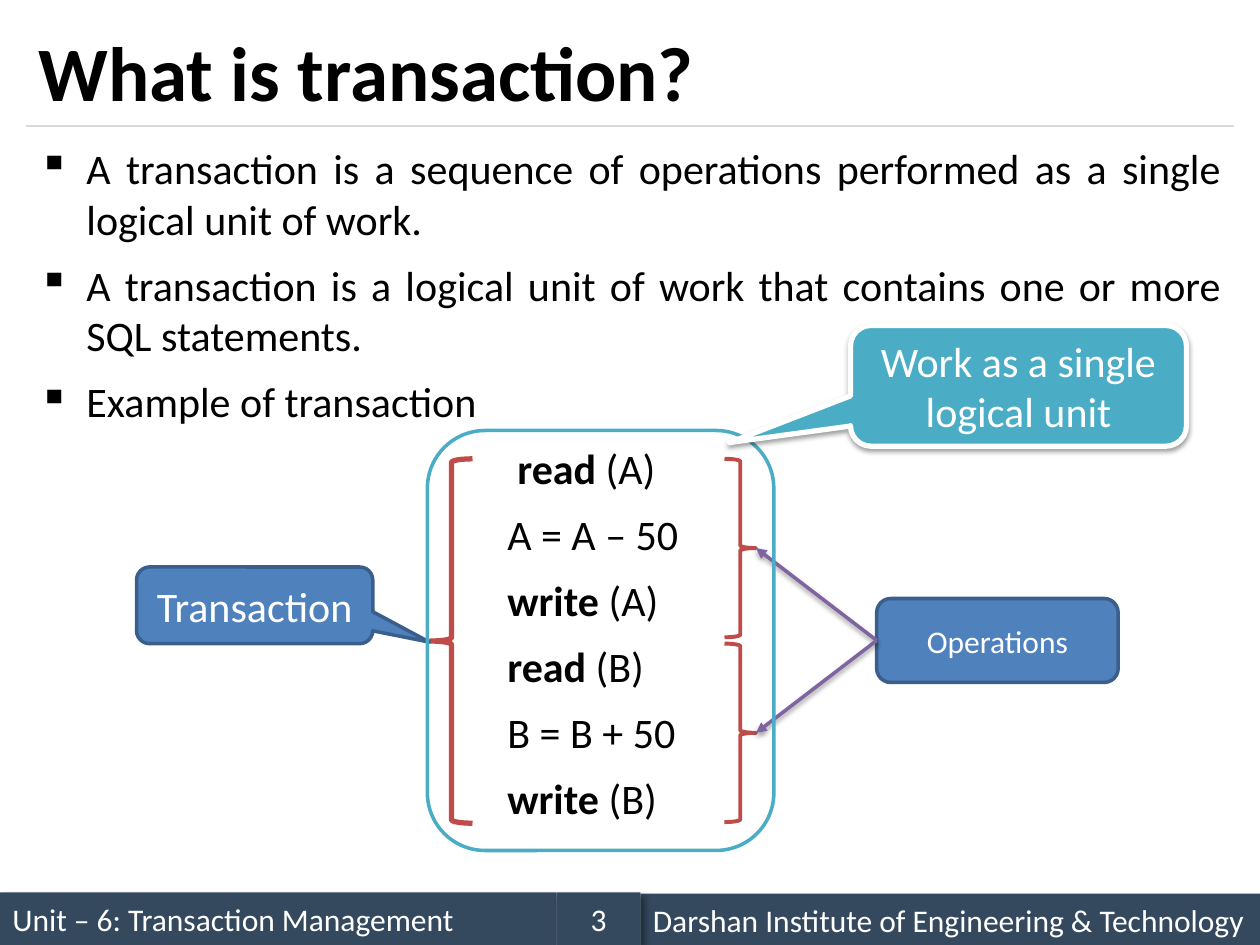
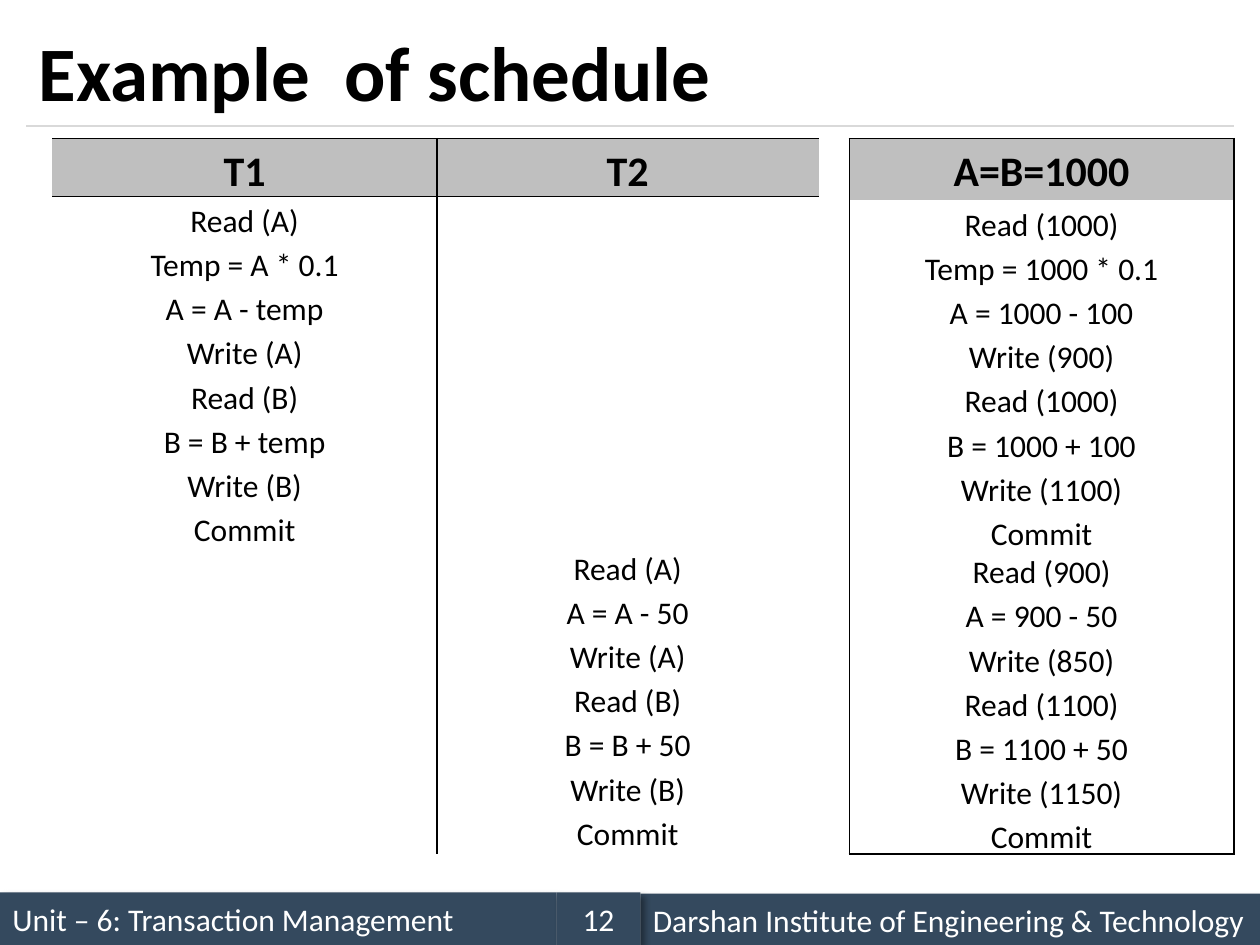
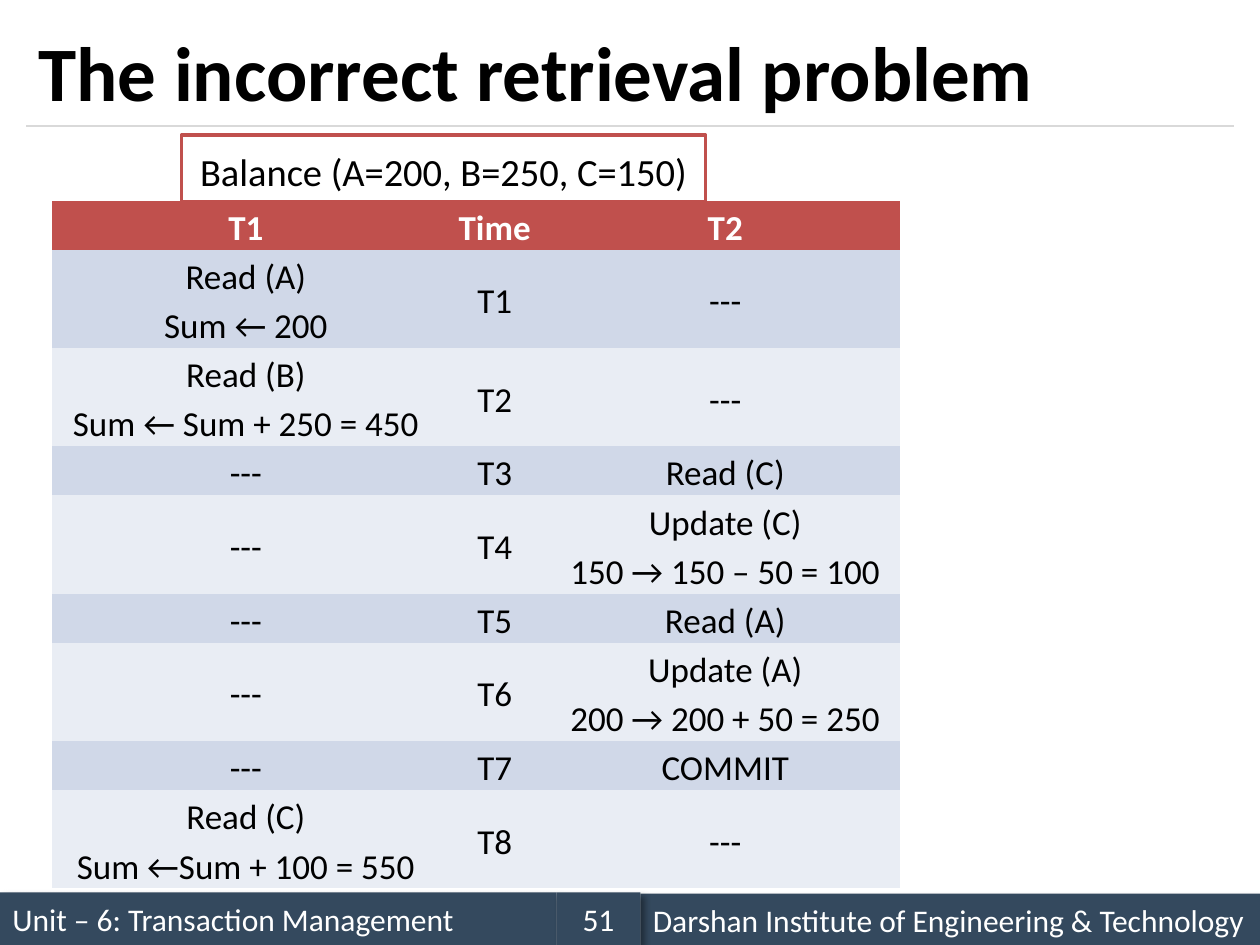
from lxml import etree
from pptx import Presentation
from pptx.dml.color import RGBColor
from pptx.enum.shapes import MSO_CONNECTOR as Connector, MSO_SHAPE as Shape
from pptx.enum.text import MSO_ANCHOR as Anchor, PP_ALIGN as Align
from pptx.oxml.ns import qn
from pptx.util import Inches, Pt

BLACK = RGBColor(0x00, 0x00, 0x00)
WHITE = RGBColor(0xFF, 0xFF, 0xFF)
NAVY = RGBColor(0x34, 0x49, 0x5E)
RULE_GRAY = RGBColor(0xD9, 0xD9, 0xD9)
HEADER_GRAY = RGBColor(0xBF, 0xBF, 0xBF)
BLUE = RGBColor(0x4F, 0x81, 0xBD)
BLUE_EDGE = RGBColor(0x3A, 0x5F, 0x8C)
TEAL = RGBColor(0x4B, 0xAC, 0xC6)
PURPLE = RGBColor(0x80, 0x64, 0xA2)
BRACE_RED = RGBColor(0xBF, 0x4C, 0x48)
RED = RGBColor(0xC0, 0x50, 0x4D)
BAND_DARK = RGBColor(0xD0, 0xD8, 0xE8)
BAND_LIGHT = RGBColor(0xE9, 0xED, 0xF4)

FONT = "Calibri"
WIDTH, HEIGHT = Inches(10), Inches(7.5)
COLUMNS, ROWS = 24, 18
UNIT = WIDTH // COLUMNS
FOOTER_SHADOW = (4, 3, 45, 40)
SOFT_SHADOW = (3.1, 1.6, 90, 38)
UNIT_TITLE = "Unit – 6: Transaction Management"
INSTITUTE = "Darshan Institute of Engineering & Technology"

DEFINITIONS = [
    "A transaction is a sequence of operations performed as a single logical unit of work.",
    "A transaction is a logical unit of work that contains one or more SQL statements.",
    "Example of transaction",
]
STEPS = [("read ", "(A)"), ("", "A = A – 50"), ("write ", "(A)"),
         ("read ", "(B)"), ("", "B = B + 50"), ("write ", "(B)")]
SCHEDULE = [
    ["T1", "T2"],
    ["Read (A)\nTemp = A * 0.1\nA = A - temp\nWrite (A)\n"
     "Read (B)\nB = B + temp\nWrite (B)\nCommit", ""],
    ["", "Read (A)\nA = A - 50\nWrite (A)\nRead (B)\nB = B + 50\nWrite (B)\nCommit"],
]
VALUES = [
    ["A=B=1000"],
    ["Read (1000)\nTemp = 1000 * 0.1\nA = 1000 - 100\nWrite (900)\n"
     "Read (1000)\nB = 1000 + 100\nWrite (1100)\nCommit"],
    ["Read (900)\nA = 900 - 50\nWrite (850)\nRead (1100)\nB = 1100 + 50\nWrite (1150)\nCommit"],
]
RETRIEVAL = [
    ["T1", "Time", "T2"],
    ["Read (A)\nSum ← 200", "T1", "---"],
    ["Read (B)\nSum ← Sum + 250 = 450", "T2", "---"],
    ["---", "T3", "Read (C)"],
    ["---", "T4", "Update (C)\n150 → 150 – 50 = 100"],
    ["---", "T5", "Read (A)"],
    ["---", "T6", "Update (A)\n200 → 200 + 50 = 250"],
    ["---", "T7", "COMMIT"],
    ["Read (C)\nSum ←Sum + 100 = 550", "T8", "---"],
]


def grid(*cells):
    """Turn grid columns and rows into lengths."""
    return [round(UNIT * cell) for cell in cells]


def add_xml(parent, tag, **attributes):
    """Append a drawing element with its attributes."""
    return etree.SubElement(parent, qn(tag), {key: str(value) for key, value in attributes.items()})


def format_run(run, size, color, bold=False):
    """Set the typeface of one run."""
    font = run.font
    font.name, font.size, font.bold = FONT, Pt(size), bold
    font.color.rgb = color


def write(text_frame, text, size, color, bold=False, align=Align.CENTER, spacing=None):
    """Fill a text frame with evenly formatted paragraphs."""
    text_frame.text = text
    text_frame.word_wrap = True
    for paragraph in text_frame.paragraphs:
        paragraph.alignment = align
        paragraph.line_spacing = spacing
        for run in paragraph.runs:
            format_run(run, size, color, bold)


def add_shadow(element, blur, distance, angle, opacity):
    """Put an outer shadow on a shape or connector element."""
    effects = element.spPr.find(qn("a:effectLst"))
    shadow = add_xml(effects, "a:outerShdw", blurRad=Pt(blur), dist=Pt(distance),
                     dir=angle * 60000, algn="ctr", rotWithShape=0)
    color = add_xml(shadow, "a:srgbClr", val=BLACK)
    add_xml(color, "a:alpha", val=opacity * 1000)


def add_figure(slide, kind, place, fill=None, line=None, width=2, shadow=None, adjust=()):
    """Add a preset shape on the grid."""
    shape = slide.shapes.add_shape(kind, *grid(*place))
    shape.shadow.inherit = False
    if fill is None:
        shape.fill.background()
    else:
        shape.fill.solid()
        shape.fill.fore_color.rgb = fill
    if line is None:
        shape.line.fill.background()
    else:
        shape.line.color.rgb = line
        shape.line.width = Pt(width)
    for index, value in enumerate(adjust):
        shape.adjustments[index] = value
    if shadow:
        add_shadow(shape._element, *shadow)
    return shape


def add_line(slide, start, end, color, width):
    """Add a straight connector without a shadow."""
    line = slide.shapes.add_connector(Connector.STRAIGHT, *grid(*start, *end))
    line.line.color.rgb = color
    line.line.width = Pt(width)
    add_xml(line._element.spPr, "a:effectLst")
    return line


def add_arrow(slide, source, start, end):
    """Add a shadowed arrow from the left side of a box."""
    arrow = add_line(slide, start, end, PURPLE, 2)
    arrow.begin_connect(source, 1)
    add_xml(arrow.line._get_or_add_ln(), "a:tailEnd", type="triangle")
    add_shadow(arrow._element, *SOFT_SHADOW)


def add_footer_band(slide, left, top, width, text, align=Align.LEFT):
    """Add one part of the footer."""
    band = add_figure(slide, Shape.RECTANGLE, (left, top, width, 1), NAVY, shadow=FOOTER_SHADOW)
    write(band.text_frame, text, 18, WHITE, align=align)


def start_slide(presentation, title, number):
    """Add a slide with its title, rule and footer."""
    slide = presentation.slides.add_slide(presentation.slide_layouts[6])
    add_footer_band(slide, 0, 17, 10.6, UNIT_TITLE)
    add_line(slide, (0.5, 2.4), (23.5, 2.4), RULE_GRAY, 0.75)
    add_footer_band(slide, 12.2, 17.02, 11.8, INSTITUTE)
    add_footer_band(slide, 10.6, 17, 1.6, str(number), Align.CENTER)
    box = slide.shapes.add_textbox(*grid(0.5, 0.3, 23, 2.1))
    box.text_frame.vertical_anchor = Anchor.MIDDLE
    write(box.text_frame, title, 44, BLACK, bold=True, align=Align.LEFT)
    return slide


def set_indent(paragraph, left, first=0.0):
    """Set the left margin and first-line indent in inches."""
    properties = paragraph._p.get_or_add_pPr()
    properties.set("marL", str(Inches(left)))
    properties.set("indent", str(Inches(first)))
    return properties


def add_definitions(slide):
    """Add the bulleted definitions and the steps of the example."""
    frame = slide.shapes.add_textbox(*grid(0.5, 2.6, 23, 14)).text_frame
    write(frame, "\n".join(DEFINITIONS), 24, BLACK, align=Align.JUSTIFY)
    for paragraph in frame.paragraphs:
        add_xml(set_indent(paragraph, 0.38, -0.38), "a:buChar", char="▪")
    for index, (command, rest) in enumerate(STEPS):
        paragraph = frame.add_paragraph()
        set_indent(paragraph, 3.72 if index else 3.8)
        for text, bold in ((command, True), (rest, False)):
            if text:
                run = paragraph.add_run()
                run.text = text
                format_run(run, 24, BLACK, bold)
    for paragraph in frame.paragraphs[1:]:
        paragraph.space_before = Pt(9)


def set_borders(cell, sides):
    """Draw the named sides of a cell and hide the others."""
    properties = cell._tc.get_or_add_tcPr()
    for side in "LRTB":
        line = add_xml(properties, f"a:ln{side}", w=Pt(1))
        if side in sides:
            add_xml(add_xml(line, "a:solidFill"), "a:srgbClr", val=BLACK)
        else:
            add_xml(line, "a:noFill")


def add_grid_table(slide, left, top, widths, heights, rows, fills, sizes, margin,
                   header_color=BLACK, anchor=Anchor.TOP, borders=None):
    """Add a table with a bold header row and one fill per row."""
    place = grid(left, top) + [Inches(sum(widths)), Inches(sum(heights))]
    table = slide.shapes.add_table(len(rows), len(widths), *place).table
    table.horz_banding = table.first_row = False
    for column, width in zip(table.columns, widths):
        column.width = Inches(width)
    for r, texts in enumerate(rows):
        table.rows[r].height = Inches(heights[r])
        for c, text in enumerate(texts):
            cell = table.cell(r, c)
            set_borders(cell, borders[r][c] if borders else "")
            if fills[r] is None:
                cell.fill.background()
            else:
                cell.fill.solid()
                cell.fill.fore_color.rgb = fills[r]
            cell.margin_left = cell.margin_right = Inches(margin)
            cell.margin_top = cell.margin_bottom = 0
            cell.vertical_anchor = anchor
            header = r == 0
            write(cell.text_frame, text, sizes[0 if header else 1],
                  header_color if header else BLACK, bold=header, spacing=1.15)


def build_transaction(presentation):
    """Build the slide that defines a transaction."""
    slide = start_slide(presentation, "What is transaction?", 3)
    add_definitions(slide)
    brace_tops = (8.74, 12.26)
    for top in brace_tops:
        add_figure(slide, Shape.RIGHT_BRACE, (13.8, top, 0.6, 3.4), line=BRACE_RED, width=2.25)
    add_figure(slide, Shape.LEFT_BRACE, (8.2, 8.74, 0.8, 6.94), line=BRACE_RED, width=3)
    transaction = add_figure(slide, Shape.ROUNDED_RECTANGULAR_CALLOUT, (2.6, 10.8, 4.5, 1.46),
                             BLUE, BLUE_EDGE, adjust=(0.74, 0.48, 0.17))
    write(transaction.text_frame, "Transaction", 24, WHITE)
    operations = add_figure(slide, Shape.ROUNDED_RECTANGLE, (16.7, 11.4, 4.6, 1.6),
                            BLUE, BLUE_EDGE)
    write(operations.text_frame, "Operations", 18, WHITE)
    for top in brace_tops:
        add_arrow(slide, operations, (16.7, 12.2), (14.4, top + 1.7))
    add_figure(slide, Shape.ROUNDED_RECTANGLE, (8.14, 8.2, 6.6, 8), line=TEAL)
    single_unit = add_figure(slide, Shape.ROUNDED_RECTANGULAR_CALLOUT, (16.2, 6.2, 6.4, 2.3),
                             TEAL, WHITE, 3, SOFT_SHADOW, (-0.86, 0.47, 0.17))
    write(single_unit.text_frame, "Work as a single logical unit", 24, WHITE)


def build_schedule(presentation):
    """Build the slide with the schedule and its values."""
    slide = start_slide(presentation, "Example  of schedule", 12)
    fills = (HEADER_GRAY, None, None)
    add_grid_table(slide, 1, 2.64, (3.05, 3.03), (0.46, 2.58, 2.46), SCHEDULE, fills,
                   (24, 18), 0.07, borders=(("TRB", "LTB"), ("TR", "LT"), ("R", "L")))
    add_grid_table(slide, 16.18, 2.64, (3.05,), (0.49, 2.42, 2.43), VALUES, fills,
                   (24, 18), 0.07, borders=(("LTR",), ("LR",), ("LRB",)))


def build_retrieval(presentation):
    """Build the slide on the incorrect retrieval problem."""
    slide = start_slide(presentation, "The incorrect retrieval problem", 51)
    heights = [0.39 * (1 + max(text.count("\n") for text in row)) for row in RETRIEVAL]
    fills = [RED] + [(BAND_LIGHT, BAND_DARK)[r % 2] for r in range(1, len(RETRIEVAL))]
    add_grid_table(slide, 1, 3.82, (3.07, 0.88, 2.78), heights, RETRIEVAL, fills,
                   (20, 20), 0.12, WHITE, Anchor.MIDDLE)
    balance = add_figure(slide, Shape.RECTANGLE, (3.46, 2.57, 9.98, 1.27), WHITE, RED)
    balance.text_frame.vertical_anchor = Anchor.TOP
    write(balance.text_frame, "Balance (A=200, B=250, C=150)", 22, BLACK, spacing=1.15)


def main():
    """Build and save the presentation."""
    presentation = Presentation()
    presentation.slide_width, presentation.slide_height = WIDTH, HEIGHT
    build_transaction(presentation)
    build_schedule(presentation)
    build_retrieval(presentation)
    presentation.save("out.pptx")


if __name__ == "__main__":
    main()
